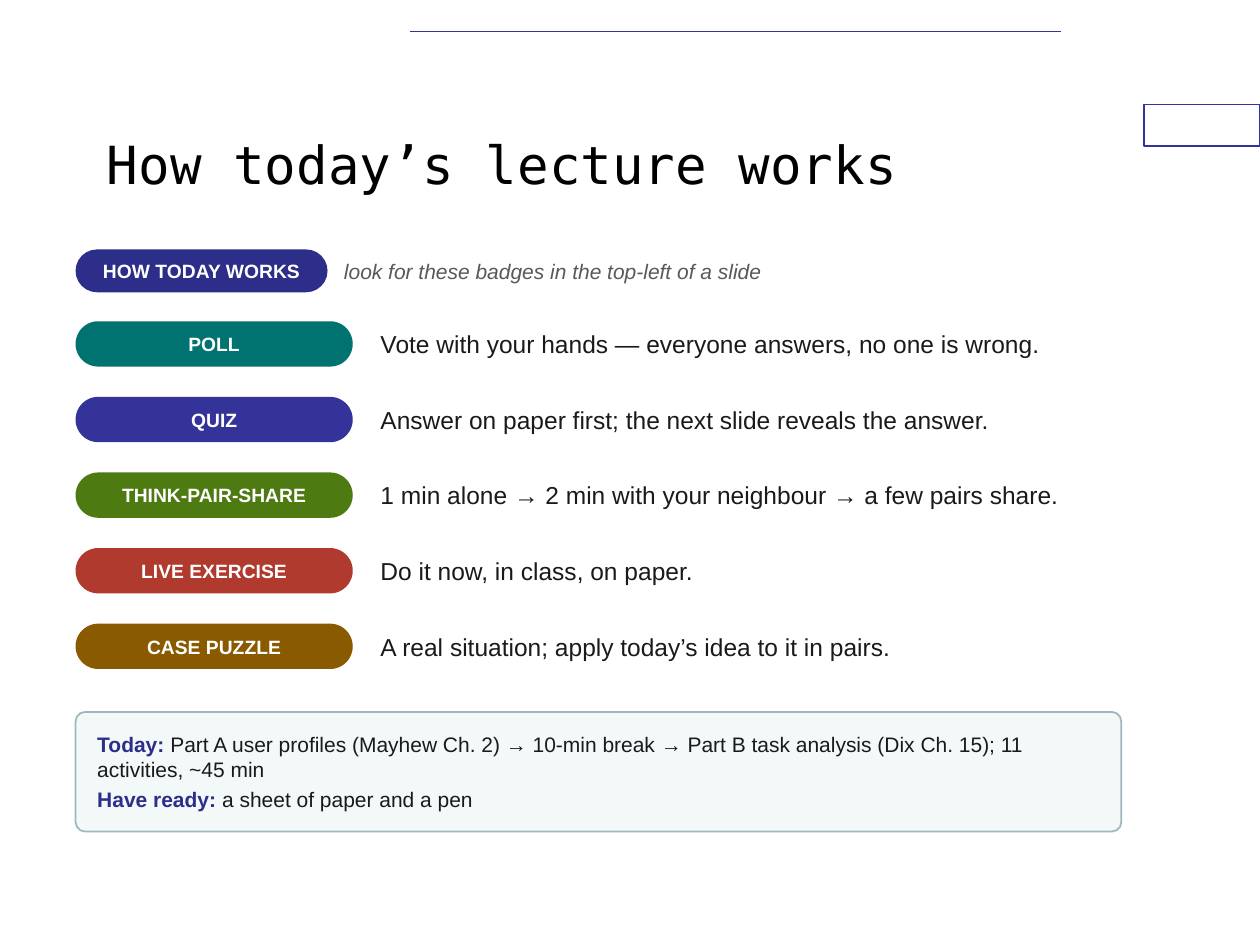
from lxml import etree
from pptx import Presentation
from pptx.dml.color import RGBColor
from pptx.enum import shapes, text
from pptx.oxml.ns import qn
from pptx.util import Inches, Pt

INDIGO = "2D2D8A"
RULE = "333399"
INK = "1A1A1A"
WHITE = "FFFFFF"
ROWS = [
    ("POLL", "00726F", "Vote with your hands — everyone answers, no one is wrong."),
    ("QUIZ", RULE, "Answer on paper first; the next slide reveals the answer."),
    ("THINK-PAIR-SHARE", "4E7A12", "1 min alone → 2 min with your neighbour → a few pairs share."),
    ("LIVE EXERCISE", "B03A2E", "Do it now, in class, on paper."),
    ("CASE PUZZLE", "8A5A00", "A real situation; apply today’s idea to it in pairs."),
]
NOTES = [
    ("Today: ", "Part A user profiles (Mayhew Ch. 2) → 10-min break → "
                "Part B task analysis (Dix Ch. 15); 11 activities, ~45 min"),
    ("Have ready: ", "a sheet of paper and a pen"),
]


def paint(color, tone):
    color.rgb = RGBColor.from_string(tone)


def style(run, size, tone, face="Arial", bold=False, italic=False):
    font = run.font
    font.size, font.name, font.bold, font.italic = Pt(size), face, bold, italic
    paint(font.color, tone)


def set_frame(shape, pad):
    frame = shape.text_frame
    frame.word_wrap = True
    frame.vertical_anchor = text.MSO_ANCHOR.MIDDLE
    frame.margin_left = frame.margin_right = Inches(pad)
    frame.margin_top = frame.margin_bottom = Inches(pad)
    return frame


def add_box(slide, kind, box, fill, line=None, width=1):
    shape = slide.shapes.add_shape(kind, *map(Inches, box))
    shape.shadow.inherit = False
    shape.fill.solid()
    paint(shape.fill.fore_color, fill)
    if line:
        paint(shape.line.color, line)
        shape.line.width = Pt(width)
    else:
        shape.line.fill.background()
    return shape


def add_label(slide, box, words, size, tone, pad=0.02, **look):
    frame = set_frame(slide.shapes.add_textbox(*map(Inches, box)), pad)
    frame.text = words
    style(frame.paragraphs[0].runs[0], size, tone, **look)


def add_badge(slide, box, words, fill):
    shape = add_box(slide, shapes.MSO_SHAPE.ROUNDED_RECTANGLE, box, fill)
    shape.adjustments[0] = 0.5
    frame = set_frame(shape, 0.03)
    frame.text = words
    line = frame.paragraphs[0]
    line.alignment = text.PP_ALIGN.CENTER
    style(line.runs[0], 11, WHITE, bold=True)


def add_trim(slide, box):
    left, top, width, height = box
    add_box(slide, shapes.MSO_SHAPE.RECTANGLE,
            (left + width - 0.92, top + 0.83, 0.92, 0.33), WHITE, RULE, 0.75)
    rule = slide.shapes.add_connector(
        shapes.MSO_CONNECTOR.STRAIGHT, Inches(left + 3.25), Inches(top + 0.25),
        Inches(left + 8.42), Inches(top + 0.25))
    paint(rule.line.color, RULE)
    rule.line.width = Pt(1)
    etree.SubElement(rule._element.spPr, qn("a:effectLst"))


def add_intro(slide, box):
    left, top, width, height = box
    add_badge(slide, (left, top, 2, height), "HOW TODAY WORKS", INDIGO)
    add_label(slide, (left + 2.11, top, width - 2.11, height),
              "look for these badges in the top-left of a slide",
              12, "595959", italic=True)


def add_rows(slide, box):
    left, top, width, height = box
    pitch = height / len(ROWS)
    for i, (name, fill, words) in enumerate(ROWS):
        y = top + i * pitch
        add_badge(slide, (left, y + 0.07, 2.2, 0.36), name, fill)
        add_label(slide, (left + 2.4, y, width - 2.4, 0.5), words, 14, INK)


def add_notes(slide, box):
    shape = add_box(slide, shapes.MSO_SHAPE.ROUNDED_RECTANGLE, box, "F3F8F9", "9DB8BC")
    shape.adjustments[0] = 0.08
    frame = set_frame(shape, 0.15)
    for i, (head, words) in enumerate(NOTES):
        line = frame.add_paragraph() if i else frame.paragraphs[0]
        line.alignment = text.PP_ALIGN.LEFT
        if i:
            line.space_before = Pt(3)
        for part, tone, bold in ((head, INDIGO, True), (words, INK, False)):
            run = line.add_run()
            run.text = part
            style(run, 12, tone, bold=bold)


def main():
    deck = Presentation()
    deck.slide_width, deck.slide_height = Inches(10), Inches(7.5)
    slide = deck.slides.add_slide(deck.slide_layouts[6])
    add_trim(slide, (0, 0, 10, 7.5))
    add_label(slide, (0.75, 0.67, 7.5, 1.25), "How today’s lecture works",
              30, "000000", pad=0.1, face="DejaVu Sans Mono")
    add_intro(slide, (0.6, 1.98, 8.3, 0.34))
    add_rows(slide, (0.6, 2.48, 8.3, 3))
    add_notes(slide, (0.6, 5.65, 8.3, 0.95))
    deck.save("out.pptx")


if __name__ == "__main__":
    main()
